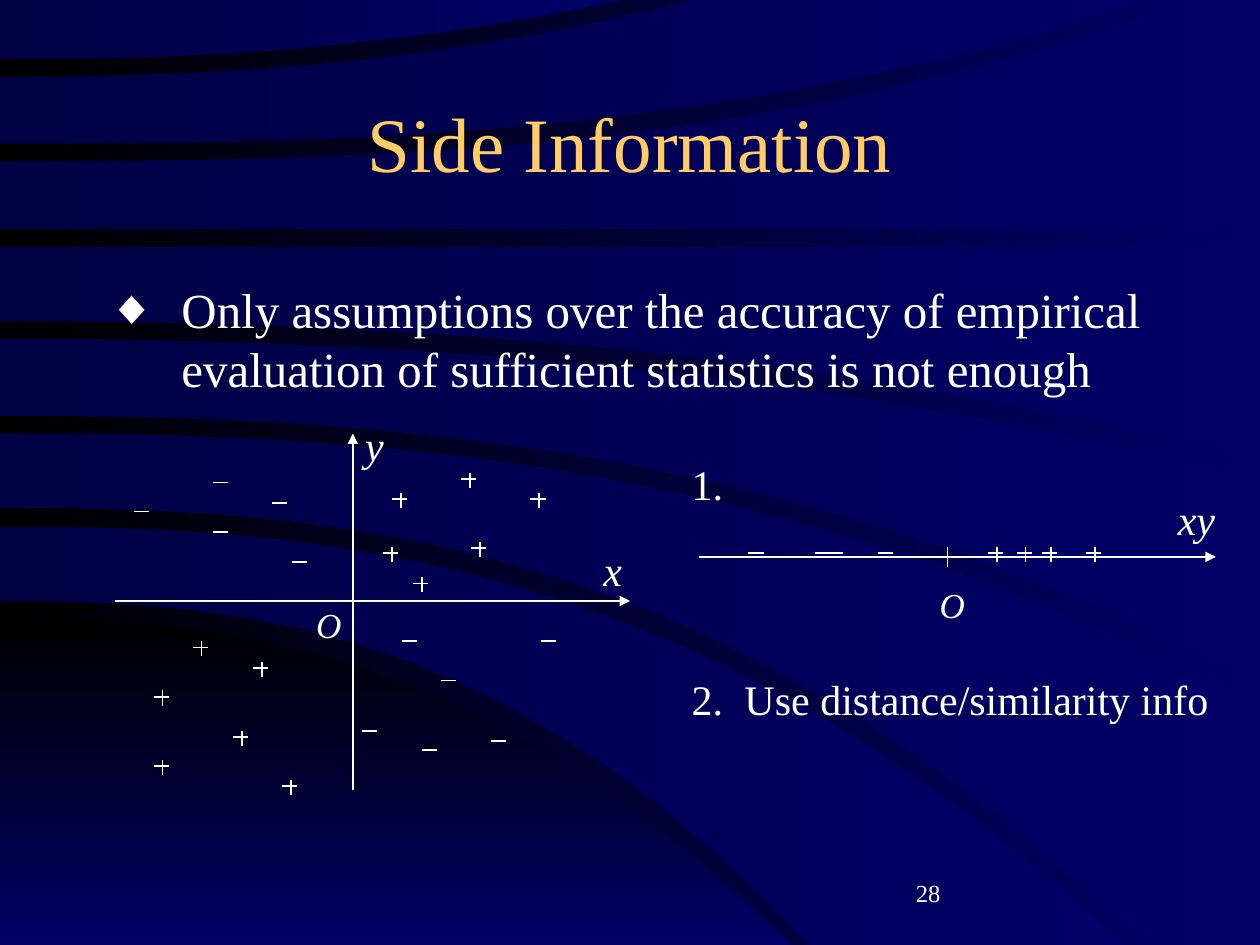
from lxml import etree
from pptx import Presentation
from pptx.dml.color import RGBColor
from pptx.enum.shapes import MSO_CONNECTOR
from pptx.enum.text import MSO_ANCHOR, MSO_AUTO_SIZE, PP_ALIGN
from pptx.oxml.ns import qn
from pptx.util import Inches, Pt

STRAIGHT = MSO_CONNECTOR.STRAIGHT
MIDDLE, TOP = MSO_ANCHOR.MIDDLE, MSO_ANCHOR.TOP
LEFT, CENTER = PP_ALIGN.LEFT, PP_ALIGN.CENTER
NO_FIT = MSO_AUTO_SIZE.NONE
COLUMNS = 100
STEPS = 16

HILL = ((49.1, 62.8, 75, 2.4), (75, 62.8, 75, 1))
BANDS = [
    ((41.8, 89.3, 75, 2.5), (47.7, 64.2, 75, 2.55)),
    ((34.4, 100, 56, 2.45), (40.3, 90.9, 75, 2.55)),
    ((26.9, 100, 37.9, 2.2), (33, 100, 54.2, 2.45)),
    ((19.6, 100, 19.6, 1), (25.5, 100, 36.4, 2.25)),
    ((12.8, 94.3, 0, 2.75), (18.2, 100, 18.2, 1)),
    ((6.1, 54.9, 0, 2.35), (11.4, 91.2, 0, 2.65)),
    ((0, 49.1, 0, 1), (4.7, 49.1, 0, 2.3)),
]

PLUSES = [(31, 43.9), (37.2, 38), (38, 43.5), (31.7, 39.6), (42.7, 39.6), (33.4, 46.3),
          (12.8, 55.3), (15.9, 51.4), (20.7, 53), (19.1, 58.5), (12.8, 60.8), (23, 62.4)]
MINUSES = [(32.5, 50.9), (29.3, 58), (34.1, 59.5), (43.5, 50.9), (39.6, 58.8), (35.6, 54),
           (22.2, 39.9), (11.2, 40.6), (17.5, 42.2), (23.8, 44.6), (17.5, 38.3)]
PRODUCT_Y = 43.9
PRODUCT_PLUSES = [79, 81.3, 83.3, 86.8]
PRODUCT_MINUSES = [60, 65.3, 66.3, 70.3]

LABELS = [("x", 46.9, 42.7, 4.7, 24, True), ("y", 28, 32.8, 4.7, 24, True),
          ("xy", 92.5, 38.7, 6.3, 24, True), ("O", 24.1, 47.4, 3.9, 20, True),
          ("O", 73.6, 45.8, 3.9, 20, True), ("1.", 53.9, 35.9, 4.7, 24, False),
          ("2.\tUse distance/similarity info", 53.9, 53, 44.9, 24, False),
          ("28", 71.7, 69.2, 20.8, 14, False)]


def color(text):
    return RGBColor.from_string(text)


def edge(start, reach, end, bend):
    shares = [i / STEPS for i in range(STEPS + 1)]
    return [(reach * t, start + (end - start) * t ** bend) for t in shares]


def outline(upper, lower):
    top, bottom = edge(*upper), edge(*lower)
    near, far = sorted([top[-1], bottom[-1]])
    return top + [(far[0], near[1])] + bottom[::-1]


class Deck:
    font = "Times New Roman"
    ink = "FFFFFF"
    accent = "FFCC66"
    mark = 0.6

    def __init__(self, prs):
        self.cell = prs.slide_width / COLUMNS
        self.s = prs.slides.add_slide(prs.slide_layouts[1])

    def grid(self, *cells):
        return [round(c * self.cell) for c in cells]

    def gradient(self, fill, first, last, angle=0):
        fill.gradient()
        fill.gradient_angle = angle
        for stop, shade in zip(fill.gradient_stops, (first, last)):
            stop.color.rgb = color(shade)

    def background(self, first, last):
        self.gradient(self.s.background.fill, first, last)

    def area(self, edges, first, last, angle=0):
        points = [self.grid(*point) for point in outline(*edges)]
        builder = self.s.shapes.build_freeform(*points[0], scale=1.0)
        builder.add_line_segments(points[1:], close=True)
        sp = builder.convert_to_shape()
        sp.shadow.inherit = False
        sp.line.fill.background()
        self.gradient(sp.fill, first, last, angle)

    def style(self, p, size, shade, italic=False):
        for r in p.runs:
            r.font.name, r.font.size, r.font.italic = self.font, Pt(size), italic
            r.font.color.rgb = color(shade)

    def placeholder(self, index, text, box, size, shade, align, anchor):
        sp = self.s.placeholders[index]
        self.s.shapes._spTree.append(sp._element)
        sp.left, sp.top, sp.width, sp.height = self.grid(*box)
        tf = sp.text_frame
        tf.text = text
        tf.auto_size, tf.vertical_anchor = NO_FIT, anchor
        p = tf.paragraphs[0]
        p.alignment = align
        self.style(p, size, shade)
        return p

    def title(self, text, box):
        self.placeholder(0, text, box, 44, self.accent, CENTER, MIDDLE)

    def bullet(self, text, box):
        p = self.placeholder(1, text, box, 28, self.ink, LEFT, TOP)
        p.space_before = Pt(7)
        pPr = self.hang(p, 0.59)
        shade = etree.SubElement(pPr, qn("a:buClr"))
        etree.SubElement(shade, qn("a:srgbClr"), val=self.ink)
        etree.SubElement(pPr, qn("a:buChar"), char="◆")

    def hang(self, p, inches):
        pPr = p._p.get_or_add_pPr()
        pPr.set("marL", str(Inches(inches)))
        pPr.set("indent", str(-Inches(inches)))
        return pPr

    def label(self, text, left, top, width, size, italic):
        sp = self.s.shapes.add_textbox(*self.grid(left, top, width, 5))
        tf = sp.text_frame
        tf.word_wrap = True
        tf.text = text
        p = tf.paragraphs[0]
        self.style(p, size, self.ink, italic)
        if "\t" in text:
            self.hang(p, 0.42)

    def line(self, x1, y1, x2, y2, arrow=False, shapes=None):
        shapes = shapes or self.s.shapes
        cx = shapes.add_connector(STRAIGHT, *self.grid(x1, y1, x2, y2))
        cx.line.color.rgb = color(self.ink)
        cx.line.width = Pt(1)
        if arrow:
            etree.SubElement(cx.line._get_or_add_ln(), qn("a:tailEnd"), type="triangle")
        etree.SubElement(cx._element.spPr, qn("a:effectLst"))

    def minus(self, x, y, shapes=None):
        self.line(x - self.mark, y, x + self.mark, y, shapes=shapes)

    def plus(self, x, y):
        shapes = self.s.shapes.add_group_shape().shapes
        self.minus(x, y, shapes)
        self.line(x + 0.1, y + 0.1 + self.mark, x + 0.1, y + 0.1 - self.mark, shapes=shapes)


def main():
    prs = Presentation()
    prs.slide_width, prs.slide_height = Inches(10), Inches(7.5)
    deck = Deck(prs)
    deck.background("000000", "000066")
    deck.area(HILL, "000000", "000066", 270)
    for band in BANDS:
        deck.area(band, "000044", "000066")
    deck.title("Side Information", (7.5, 5, 85, 12.5))
    deck.bullet("Only assumptions over the accuracy of empirical evaluation of "
                "sufficient statistics is not enough", (7.5, 21.7, 85, 45))
    deck.line(9.1, 47.7, 50, 47.7, arrow=True)
    deck.line(28, 62.7, 28, 34.4, arrow=True)
    deck.line(55.5, 44.2, 96.5, 44.2, arrow=True)
    deck.line(75.2, 43.4, 75.2, 45)
    for point in PLUSES + [(x, PRODUCT_Y) for x in PRODUCT_PLUSES]:
        deck.plus(*point)
    for point in MINUSES + [(x, PRODUCT_Y) for x in PRODUCT_MINUSES]:
        deck.minus(*point)
    for label in LABELS:
        deck.label(*label)
    prs.save("out.pptx")


if __name__ == "__main__":
    main()
